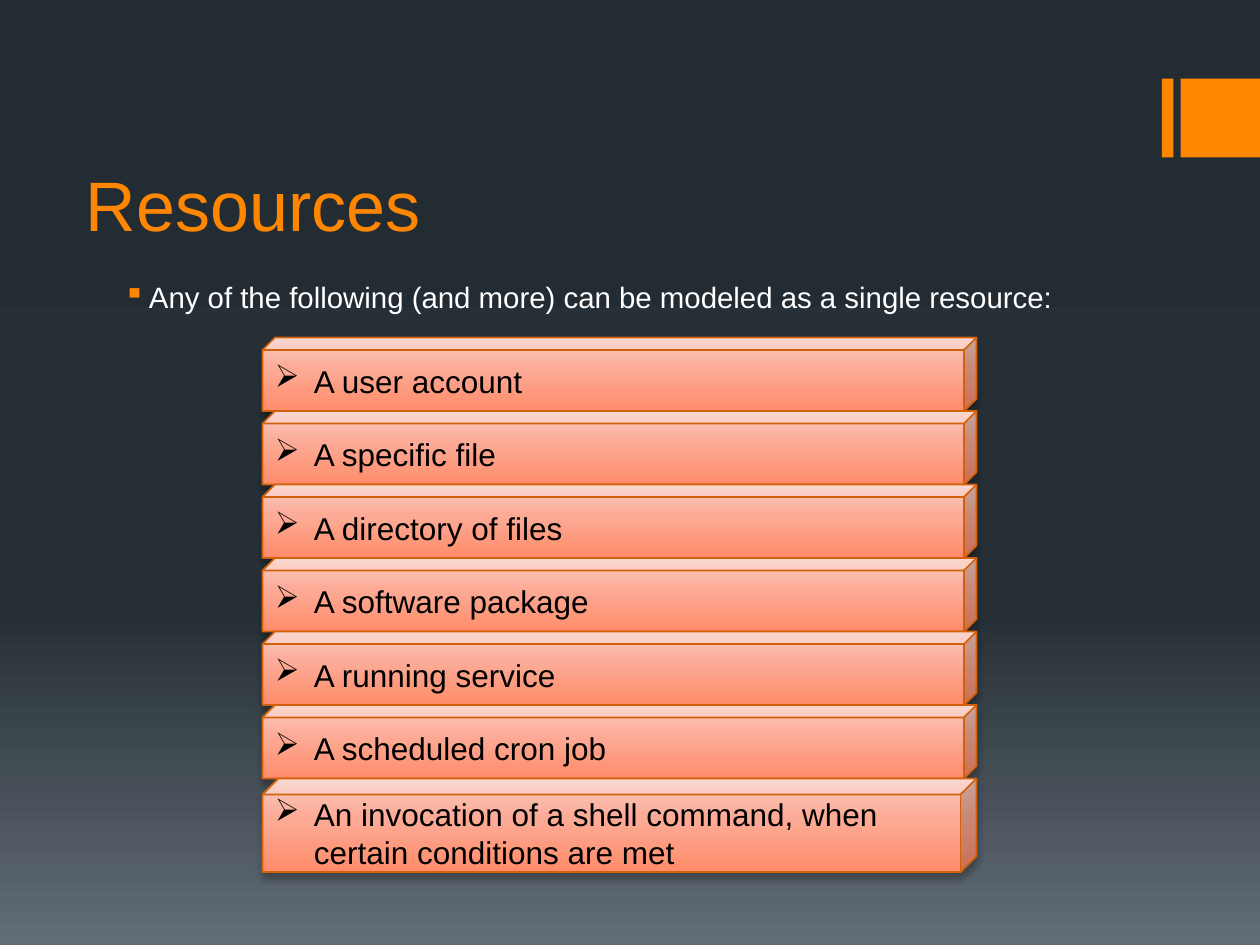
from lxml.etree import SubElement
from pptx import Presentation
from pptx.dml.color import RGBColor
from pptx.enum.shapes import MSO_SHAPE as Preset
from pptx.enum.text import MSO_ANCHOR as Anchor, PP_ALIGN as Align
from pptx.oxml.ns import qn
from pptx.util import Inches, Pt

COLUMNS, ROWS = 120, 90
ITEMS = [
    "A user account",
    "A specific file",
    "A directory of files",
    "A software package",
    "A running service",
    "A scheduled cron job",
    "An invocation of a shell command, when certain conditions are met",
]


def color(value):
    return RGBColor.from_string(value)


class Deck:
    """Holds the style and the current slide, measured in grid columns and rows."""

    font = "Arial"
    accent, light, dark, edge = "FF8600", "FFFFFF", "000000", "D2610C"
    backdrop = [(0, "242C33"), (65, "273037"), (100, "636D76")]
    salmon = [(0, "F9CDC2"), (41, "FCAB97"), (100, "FF8C6A")]

    def __init__(self):
        self.presentation = Presentation()
        self.presentation.slide_width = Inches(10)
        self.presentation.slide_height = Inches(7.5)
        self.slide = self.presentation.slides.add_slide(self.presentation.slide_layouts[6])
        self.gradient(self.slide.background.fill, self.slide.element, self.backdrop)

    def box(self, left, top, width, height):
        column = self.presentation.slide_width / COLUMNS
        row = self.presentation.slide_height / ROWS
        return [round(n) for n in (left * column, top * row, width * column, height * row)]

    def color_node(self, parent, value):
        return SubElement(parent, qn("a:srgbClr"), val=value)

    def gradient(self, fill, element, stops):
        fill.gradient()
        fill.gradient_angle = 270
        stop_list = element.find(".//" + qn("a:gsLst"))
        for stop in list(stop_list):
            stop_list.remove(stop)
        for percent, value in stops:
            stop = SubElement(stop_list, qn("a:gs"), pos=str(percent * 1000))
            self.color_node(stop, value)

    def shadow(self, shape):
        shape.shadow.inherit = False
        effects = shape.element.spPr.find(qn("a:effectLst"))
        outer = SubElement(effects, qn("a:outerShdw"), blurRad=str(Pt(4)), dist=str(Pt(3)),
                           dir="5400000", rotWithShape="0")
        SubElement(self.color_node(outer, self.dark), qn("a:alpha"), val="28000")

    def fill_text(self, shape, text, size, value, anchor):
        frame = shape.text_frame
        frame.word_wrap = True
        frame.vertical_anchor = anchor
        paragraph = frame.paragraphs[0]
        paragraph.text = text
        paragraph.alignment = Align.LEFT
        paragraph.font.name = self.font
        paragraph.font.size = Pt(size)
        paragraph.font.color.rgb = color(value)
        return paragraph

    def bullet(self, paragraph, symbol, value, margin, hanging):
        properties = paragraph._p.get_or_add_pPr()
        properties.set("marL", str(Inches(margin)))
        properties.set("indent", str(-Inches(hanging)))
        bullet_color = SubElement(properties, qn("a:buClr"))
        self.color_node(bullet_color, value)
        character = SubElement(properties, qn("a:buChar"), char=symbol)
        defaults = properties.find(qn("a:defRPr"))
        defaults.addprevious(bullet_color)
        defaults.addprevious(character)

    def text(self, text, box, size, value, anchor=Anchor.TOP):
        shape = self.slide.shapes.add_textbox(*self.box(*box))
        return self.fill_text(shape, text, size, value, anchor)

    def marker(self, *box):
        shape = self.slide.shapes.add_shape(Preset.RECTANGLE, *self.box(*box))
        shape.shadow.inherit = False
        shape.fill.solid()
        shape.fill.fore_color.rgb = color(self.accent)
        shape.line.fill.background()

    def bar(self, text, *box):
        shape = self.slide.shapes.add_shape(Preset.CUBE, *self.box(*box))
        shape.adjustments[0] = 0.17
        self.gradient(shape.fill, shape.element, self.salmon)
        shape.line.color.rgb = color(self.edge)
        shape.line.width = Pt(1)
        self.shadow(shape)
        paragraph = self.fill_text(shape, text, 18, self.dark, Anchor.MIDDLE)
        self.bullet(paragraph, "➢", self.dark, 0.31, 0.31)


def main():
    deck = Deck()
    deck.marker(110.65, 7.5, 1.1, 7.5)
    deck.marker(112.45, 7.5, 7.55, 7.5)
    deck.text("Resources", (7, 8.9, 96, 15.1), 40, deck.accent, Anchor.BOTTOM)
    introduction = deck.text(
        "Any of the following (and more) can be modeled as a single resource:",
        (10, 26, 93.5, 6), 16.8, deck.light)
    introduction.space_before = Pt(3.4)
    deck.bullet(introduction, "▪", deck.accent, 0.25, 0.2)
    for index, item in enumerate(ITEMS):
        height = 8.9 if item == ITEMS[-1] else 7
        deck.bar(item, 25, 32.15 + 7 * index, 68, height)
    deck.presentation.save("out.pptx")


if __name__ == "__main__":
    main()
